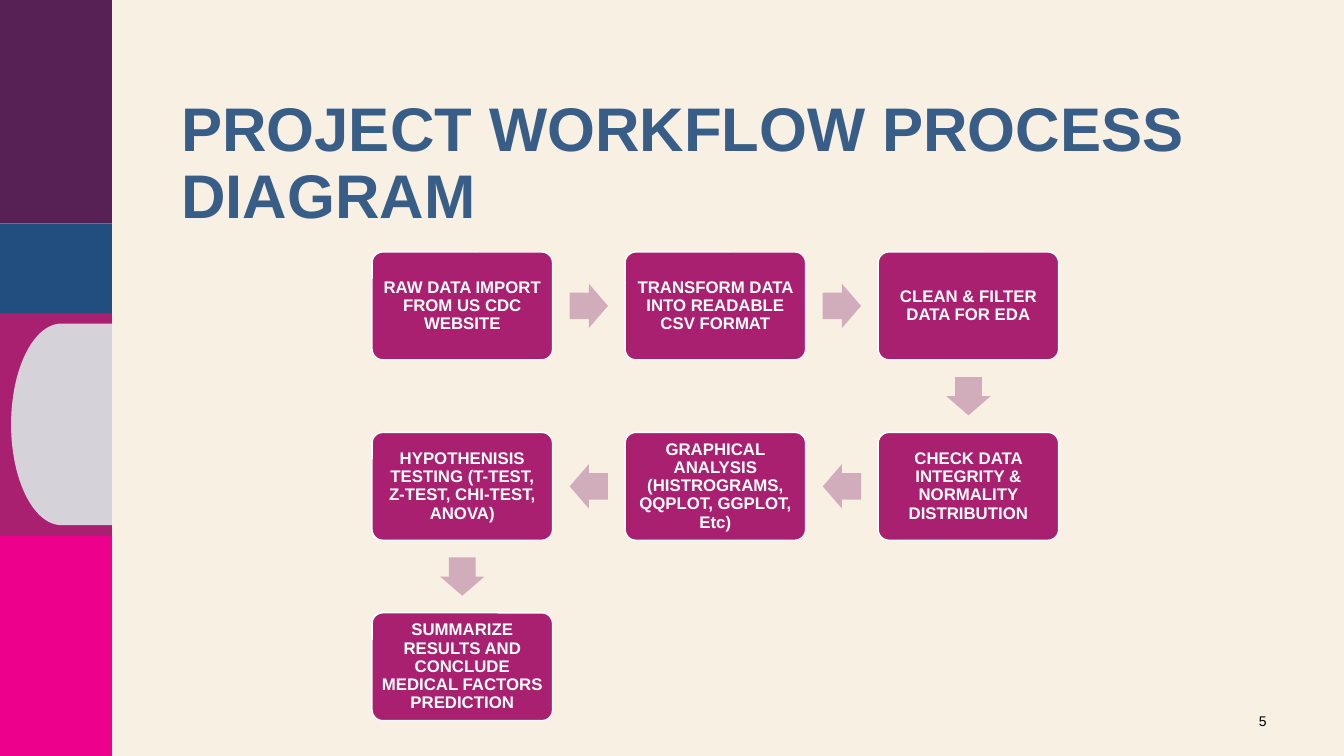
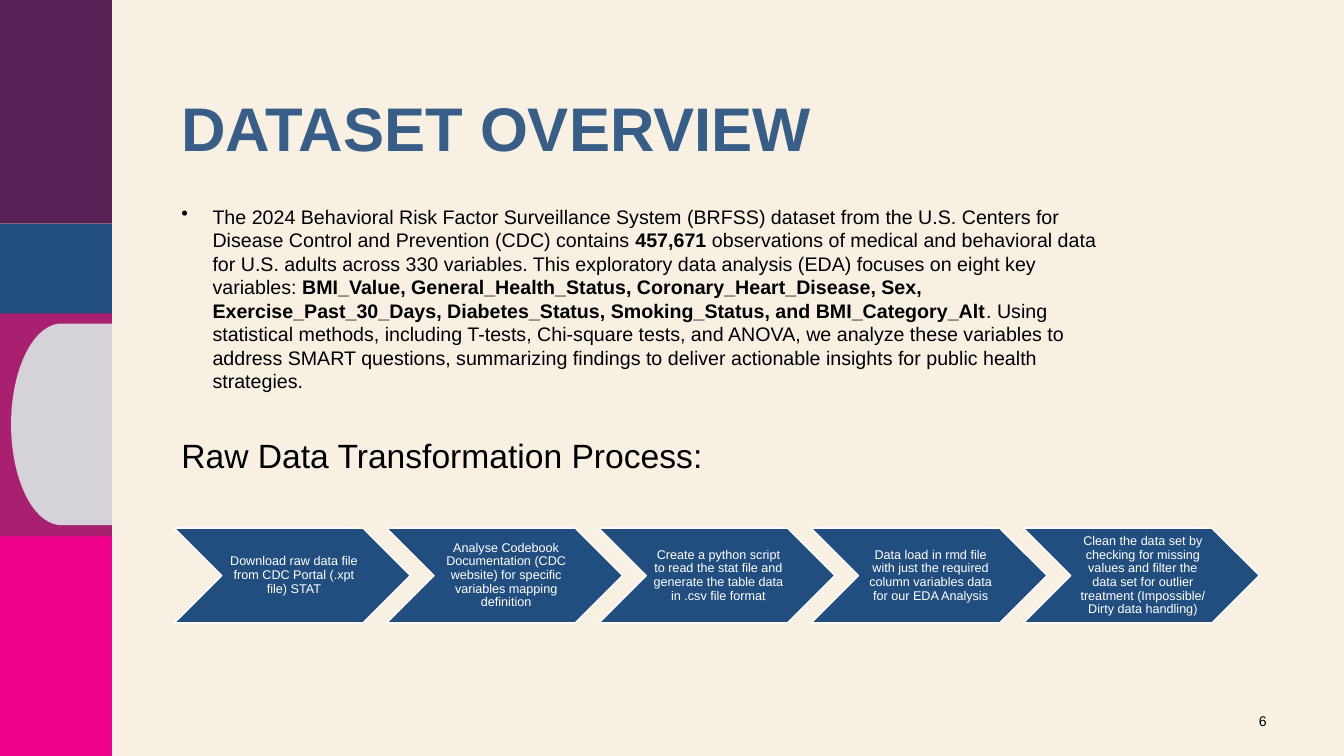
"""Build the project workflow and dataset overview slides."""
from dataclasses import dataclass

from pptx import Presentation
from pptx.dml.color import RGBColor
from pptx.enum import shapes, text
from pptx.oxml import parse_xml
from pptx.oxml.ns import nsdecls
from pptx.util import Inches, Pt


@dataclass(frozen=True)
class Theme:
    font: str = "Arial"
    cream: str = "F8F0E3"
    plum: str = "582156"
    navy: str = "224E7F"
    berry: str = "AA2070"
    pink: str = "EC008C"
    mist: str = "D5D2DA"
    rose: str = "D1ACBB"
    heading: str = "385E88"
    ink: str = "000000"
    white: str = "FFFFFF"
    title_size: int = 44
    subtitle_size: int = 24
    body_size: int = 14
    step_size: int = 12
    number_size: int = 10
    stage_size: int = 9


theme = Theme()
preset = shapes.MSO_SHAPE
align = text.PP_ALIGN


def add_block(slide, kind, left, top, width, height, fill, outline=None):
    block = slide.shapes.add_shape(
        kind, Inches(left), Inches(top), Inches(width), Inches(height))
    block.shadow.inherit = False
    block.fill.solid()
    block.fill.fore_color.rgb = RGBColor.from_string(fill)
    if outline:
        block.line.color.rgb = RGBColor.from_string(outline)
        block.line.width = Pt(1)
    else:
        block.line.fill.background()
    return block


def write(holder, runs, size, color, bold=None, alignment=align.LEFT,
          spacing=1.0, middle=False, insets=(0.1, 0.05, 0.1, 0.05)):
    frame = holder.text_frame
    frame.word_wrap = True
    frame.vertical_anchor = (
        text.MSO_ANCHOR.MIDDLE if middle else text.MSO_ANCHOR.TOP)
    (frame.margin_left, frame.margin_top,
     frame.margin_right, frame.margin_bottom) = map(Inches, insets)
    paragraph = frame.paragraphs[0]
    paragraph.alignment = alignment
    paragraph.line_spacing = spacing
    paragraph.font.name = theme.font
    paragraph.font.size = Pt(size)
    paragraph.font.bold = bold
    paragraph.font.color.rgb = RGBColor.from_string(color)
    for words, strong in runs:
        run = paragraph.add_run()
        run.text = words
        if strong:
            run.font.bold = True
    return paragraph


deck = Presentation()
deck.slide_width, deck.slide_height = Inches(13.33), Inches(7.5)
backdrop = deck.slide_master.background.fill
backdrop.solid()
backdrop.fore_color.rgb = RGBColor.from_string(theme.cream)

bands = [(5.28, 2.22, theme.pink), (3.1, 2.22, theme.berry),
         (0, 2.22, theme.plum), (2.22, 0.89, theme.navy)]
pages = []
for number, title in [(5, "PROJECT WORKFLOW PROCESS DIAGRAM"),
                      (6, "DATASET OVERVIEW")]:
    page = deck.slides.add_slide(deck.slide_layouts[6])
    for top, height, color in bands:
        add_block(page, preset.RECTANGLE, 0, top, 1.11, height, color)
    half_circle = add_block(
        page, preset.FLOWCHART_DELAY, 0.11, 3.21, 1, 2, theme.mist)
    half_circle.rotation = 180
    title_box = page.shapes.add_textbox(
        Inches(1.7), Inches(0.93), Inches(10.79), Inches(1.49))
    write(title_box, [(title, False)], theme.title_size, theme.heading,
          bold=True, spacing=0.9)
    number_box = page.shapes.add_textbox(
        Inches(12.16), Inches(6.95), Inches(0.5), Inches(0.4))
    write(number_box, [(str(number), False)], theme.number_size, theme.ink,
          alignment=align.RIGHT, middle=True)
    pages.append(page)
workflow, overview = pages

steps = [
    (0, 0, "RAW DATA IMPORT FROM US CDC WEBSITE"),
    (1, 0, "TRANSFORM DATA INTO READABLE CSV FORMAT"),
    (2, 0, "CLEAN & FILTER DATA FOR EDA"),
    (2, 1, "CHECK DATA INTEGRITY & NORMALITY DISTRIBUTION"),
    (1, 1, "GRAPHICAL ANALYSIS (HISTROGRAMS, QQPLOT, GGPLOT, Etc)"),
    (0, 1, "HYPOTHENISIS TESTING (T-TEST, Z-TEST, CHI-TEST, ANOVA)"),
    (0, 2, "SUMMARIZE RESULTS AND CONCLUDE MEDICAL FACTORS PREDICTION"),
]
step_width, step_height = 1.79, 1.07
arrow_width, arrow_height = 0.38, 0.44
turns = {(1, 0): 0, (0, 1): 90, (-1, 0): 180}
previous = None
for column, row, label in steps:
    left, top = 3.69 + 2.51 * column, 2.5 + 1.79 * row
    if previous:
        old_column, old_row, old_left, old_top = previous
        arrow = add_block(
            workflow, preset.RIGHT_ARROW,
            (left + old_left + step_width - arrow_width) / 2,
            (top + old_top + step_height - arrow_height) / 2,
            arrow_width, arrow_height, theme.rose)
        arrow.adjustments[0] = 0.6
        arrow.rotation = turns[column - old_column, row - old_row]
    step = add_block(workflow, preset.ROUNDED_RECTANGLE, left, top,
                     step_width, step_height, theme.berry, theme.white)
    step.adjustments[0] = 0.1
    write(step, [(label, False)], theme.step_size, theme.white, bold=True,
          alignment=align.CENTER, spacing=0.9, middle=True, insets=(0.05,) * 4)
    previous = column, row, left, top

summary = [
    ("The 2024 Behavioral Risk Factor Surveillance System (BRFSS) dataset "
     "from the U.S. Centers for Disease Control and Prevention (CDC) "
     "contains ", False),
    ("457,671", True),
    (" observations of medical and behavioral data for U.S. adults across "
     "330 variables. This exploratory data analysis (EDA) focuses on eight "
     "key variables: ", False),
    ("BMI_Value, General_Health_Status, Coronary_Heart_Disease, Sex, "
     "Exercise_Past_30_Days, Diabetes_Status, Smoking_Status, and "
     "BMI_Category_Alt", True),
    (". Using statistical methods, including T-tests, Chi-square tests, and "
     "ANOVA, we analyze these variables to address SMART questions, "
     "summarizing findings to deliver actionable insights for public health "
     "strategies.", False),
]
summary_box = overview.shapes.add_textbox(
    Inches(1.7), Inches(1.98), Inches(9.46), Inches(2))
bullet = write(summary_box, summary, theme.body_size, theme.ink)
properties = bullet._p.get_or_add_pPr()
properties.set("marL", str(Inches(0.31)))
properties.set("indent", str(-Inches(0.31)))
properties.insert_element_before(
    parse_xml(f'<a:buChar {nsdecls("a")} char="•"/>'),
    "a:tabLst", "a:defRPr", "a:extLst")

process_box = overview.shapes.add_textbox(
    Inches(1.7), Inches(4.27), Inches(9.46), Inches(0.5))
write(process_box, [("Raw Data Transformation Process:", False)],
      theme.subtitle_size, theme.ink)

stages = [
    "Download raw data file from CDC Portal (.xpt file) STAT",
    "Analyse Codebook Documentation (CDC website) for specific variables "
    "mapping definition",
    "Create a python script to read the stat file and generate the table "
    "data in .csv file format",
    "Data load in rmd file with just the required column variables data for "
    "our EDA Analysis",
    "Clean the data set by checking for missing values and filter the data "
    "set for outlier treatment (Impossible/ Dirty data handling)",
]
for index, label in enumerate(stages):
    stage = add_block(overview, preset.CHEVRON, 1.73 + 2.105 * index, 5.24,
                      2.34, 0.94, theme.navy, theme.white)
    write(stage, [(label, False)], theme.stage_size, theme.white,
          alignment=align.CENTER, spacing=0.9, middle=True,
          insets=(0.04, 0.01, 0.01, 0.01))

deck.save("out.pptx")
